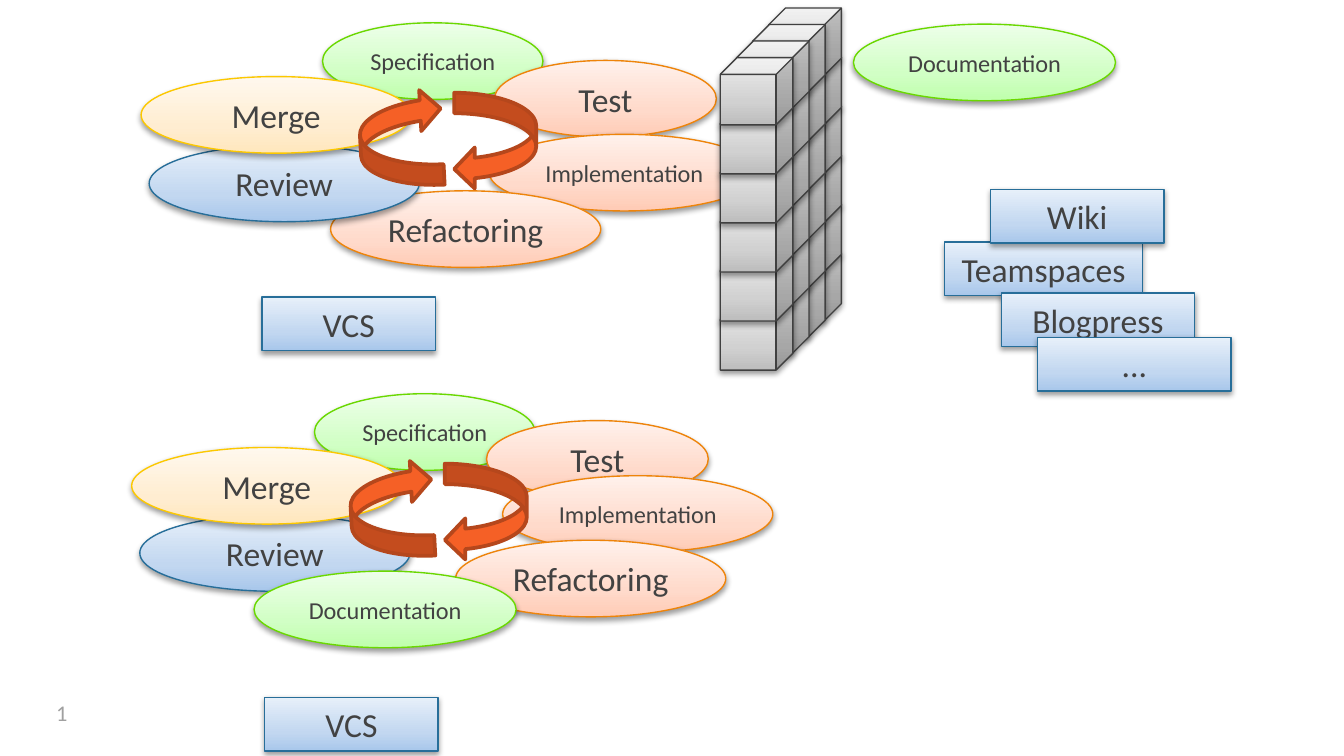
from copy import deepcopy
from lxml import etree
from pptx import Presentation
from pptx import util as u
from pptx.dml.color import RGBColor
from pptx.enum import shapes, text
from pptx.oxml.ns import qn

COLUMNS = 100
ROWS = COLUMNS * 9 / 16
CELL = u.Inches(0.1)
FONT = "Calibri"
COLORS = {"text": "424242", "number": "A0A0A0", "shadow": "000000",
          "arrow": "F56026", "arrow_line": "B5471C"}
STYLES = {
    "green": (("BFFFAC", "D1FFC5", "EDFFE9"), "6AD800"),
    "orange": (("FFCBB5", "FFDACB", "FFF1EB"), "EE840A"),
    "blue": (("A8C7EB", "C2D7F0", "E7F0FA"), "276E99"),
    "yellow": (("FFE7BD", "FFEDD1", "FFF8EE"), "FCC800"),
    "gray": (("BDBDBD", "D1D1D1", "EEEEEE"), "404040"),
}
STOPS = (0, 0.35, 1)

STEPS = {
    "Specification": ("green", 16.4, 13),
    "Test": ("orange", 16.5, 18),
    "Implementation": ("orange", 20.1, 13),
    "Refactoring": ("orange", 20.1, 18),
    "Review": ("blue", 20.1, 18),
    "Merge": ("yellow", 20.1, 18),
    "Documentation": ("green", 19.5, 13),
}
SEPARATE_CYCLE = [
    ("Specification", 24, 1.7), ("Test", 36.8, 4.5), ("Implementation", 36.4, 10),
    ("Refactoring", 24.6, 14.2), ("Review", 11.1, 10.8), ("Merge", 10.5, 5.7),
    ("Documentation", 63.5, 1.8),
]
JOINED_CYCLE = [
    ("Specification", 23.4, 29.3), ("Test", 36.2, 31.3), ("Implementation", 37.4, 35.4),
    ("Refactoring", 33.9, 40.2), ("Review", 10.4, 38.3), ("Merge", 9.8, 33.3),
    ("Documentation", 18.9, 42.5),
]
CYCLES = [(SEPARATE_CYCLE, 26.8, 6.7), (JOINED_CYCLE, 26.1, 34.3)]
ARROWS = [(7, 0.2, 0), (0, 0, 177)]
TOOLS = [
    ("Teamspaces", 70.3, 18, 14.7), ("Blogpress", 74.5, 21.8, 14.4),
    ("VCS", 19.5, 22.1, 12.9), ("Wiki", 73.7, 14.1, 12.9),
    ("VCS", 19.7, 51.9, 12.9), ("...", 77.2, 25.1, 14.4),
]
WALL = {"left": 57.2, "top": 0.6, "layers": 4, "bricks": 6,
        "left_shift": 1.2, "down_shift": 1.23, "step": 3.65}


def rgb(value):
    return RGBColor.from_string(value)


def place(*cells):
    return [round(c * CELL) for c in cells]


def add_shadow(s):
    s.shadow.inherit = False
    effects = s._element.spPr.find(qn("a:effectLst"))
    shadow = etree.SubElement(effects, qn("a:outerShdw"), blurRad=str(u.Pt(3.1)),
                              dist=str(u.Pt(1.6)), dir="5400000", rotWithShape="0")
    color = etree.SubElement(shadow, qn("a:srgbClr"), val=COLORS["shadow"])
    etree.SubElement(color, qn("a:alpha"), val="38000")


def add_glossy(slide, kind, style, *box):
    s = slide.shapes.add_shape(kind, *place(*box))
    tones, line = STYLES[style]
    s.fill.gradient()
    s.fill.gradient_angle = 90
    stops = s._element.spPr.find(".//" + qn("a:gsLst"))
    stops.append(deepcopy(stops[0]))
    for stop, position, tone in zip(s.fill.gradient_stops, STOPS, tones):
        stop.position = position
        stop.color.rgb = rgb(tone)
    s.line.color.rgb = rgb(line)
    s.line.width = u.Pt(0.75)
    add_shadow(s)
    return s


def write(s, words, size, color="text", align=text.PP_ALIGN.CENTER,
          anchor=text.MSO_ANCHOR.MIDDLE):
    tf = s.text_frame
    tf.text = words
    tf.word_wrap = True
    tf.vertical_anchor = anchor
    p = tf.paragraphs[0]
    p.alignment = align
    font = p.runs[0].font
    font.name, font.size, font.color.rgb = FONT, u.Pt(size), rgb(COLORS[color])


def add_cycle(slide, steps, left, top):
    for name, x, y in steps:
        style, width, size = STEPS[name]
        s = add_glossy(slide, shapes.MSO_SHAPE.OVAL, style, x, y, width, 5.7)
        write(s, name, size)
        s.text_frame.word_wrap = False
    for dx, dy, turn in ARROWS:
        s = slide.shapes.add_shape(shapes.MSO_SHAPE.CURVED_LEFT_ARROW,
                                   *place(left + dx, top + dy, 6.1, 7.2))
        s.rotation = turn
        s.fill.solid()
        s.fill.fore_color.rgb = rgb(COLORS["arrow"])
        s.line.color.rgb = rgb(COLORS["arrow_line"])
        s.line.width = u.Pt(2)
        s.shadow.inherit = False


def add_wall(slide):
    for layer in range(WALL["layers"]):
        left = WALL["left"] - layer * WALL["left_shift"]
        top = WALL["top"] + layer * WALL["down_shift"]
        for brick in reversed(range(WALL["bricks"])):
            add_glossy(slide, shapes.MSO_SHAPE.CUBE, "gray",
                       left, top + brick * WALL["step"], 5.4, 5)


def main():
    prs = Presentation()
    prs.slide_width, prs.slide_height = place(COLUMNS, ROWS)
    slide = prs.slides.add_slide(prs.slide_layouts[6])
    number = slide.shapes.add_textbox(*place(3.2, 51.5, 10.8, 3))
    write(number, "1", 12, "number", text.PP_ALIGN.LEFT, text.MSO_ANCHOR.TOP)
    for cycle in CYCLES:
        add_cycle(slide, *cycle)
    add_wall(slide)
    for name, x, y, width in TOOLS:
        s = add_glossy(slide, shapes.MSO_SHAPE.RECTANGLE, "blue", x, y, width, 4)
        write(s, name, 18, anchor=text.MSO_ANCHOR.TOP)
    prs.save("out.pptx")


if __name__ == "__main__":
    main()
